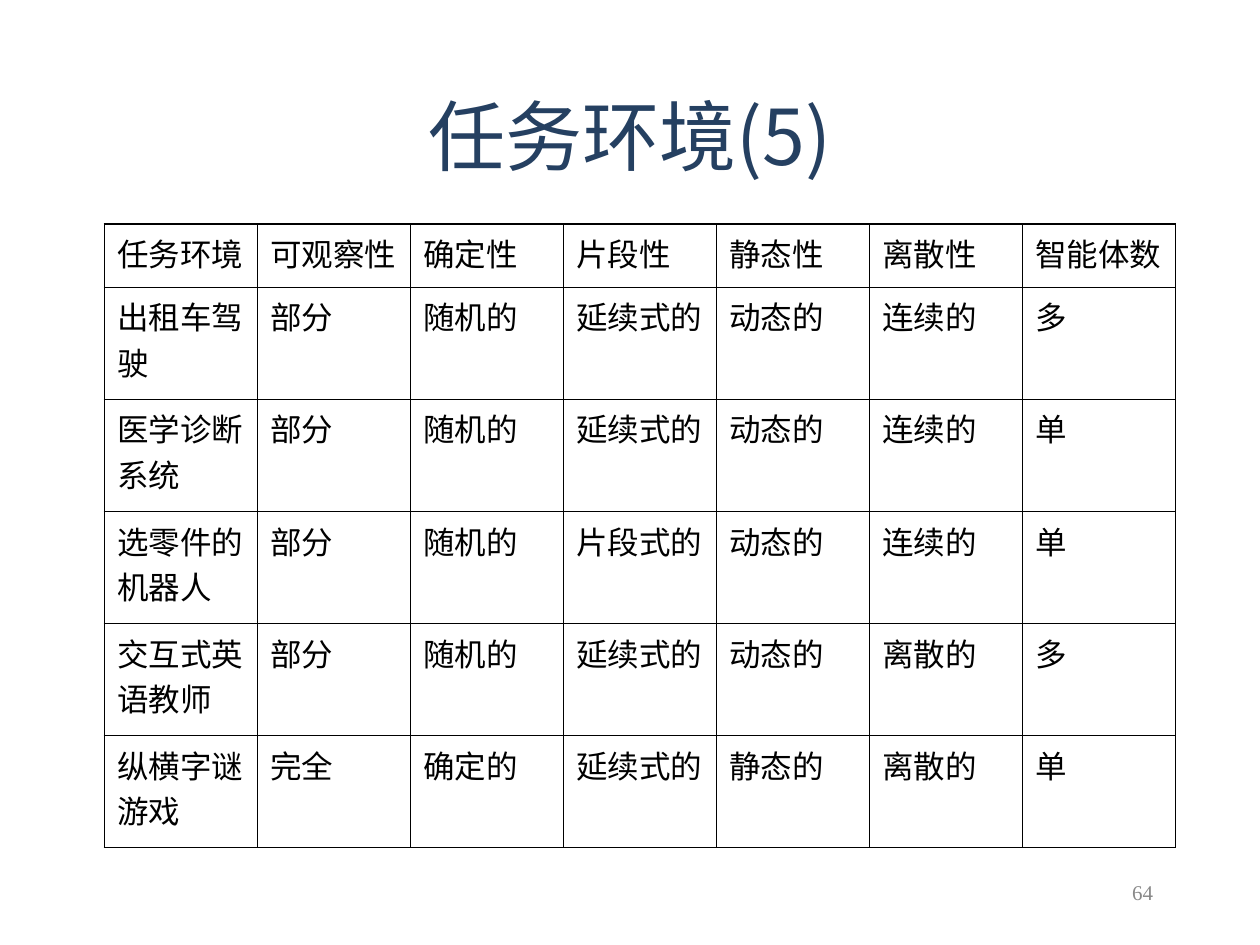
from lxml import etree
from pptx import Presentation, util as u
from pptx.dml.color import RGBColor
from pptx.enum import text as t
from pptx.oxml import ns

NAVY = RGBColor(0x25, 0x40, 0x61)
GREY = RGBColor(0x89, 0x89, 0x89)
BLACK = RGBColor(0, 0, 0)
SANS = "Noto Sans CJK SC"
SERIF = "Times New Roman"
WIDE, HIGH = u.Inches(10), u.Inches(7.5)
THIN, THICK = 0.45, 1.08
HEAD, BODY = u.Inches(0.5), u.Inches(0.89)
INSET = {
    "margin_left": u.Inches(0.1), "margin_right": u.Inches(0.1),
    "margin_top": u.Inches(0.05), "margin_bottom": u.Inches(0.05),
}
TASKS = [
    ["任务环境", "可观察性", "确定性", "片段性", "静态性", "离散性", "智能体数"],
    ["出租车驾驶", "部分", "随机的", "延续式的", "动态的", "连续的", "多"],
    ["医学诊断系统", "部分", "随机的", "延续式的", "动态的", "连续的", "单"],
    ["选零件的机器人", "部分", "随机的", "片段式的", "动态的", "连续的", "单"],
    ["交互式英语教师", "部分", "随机的", "延续式的", "动态的", "离散的", "多"],
    ["纵横字谜游戏", "完全", "确定的", "延续式的", "静态的", "离散的", "单"],
]


def assign(item, values):
    for name, value in values.items():
        setattr(item, name, value)


def area(x, y, w, h):
    return int(x * WIDE), int(y * HIGH), int(w * WIDE), int(h * HIGH)


def write(frame, words, size, face, color, align):
    para = frame.paragraphs[0]
    para.alignment = align
    run = para.add_run()
    run.text = words
    run.font.color.rgb = color
    assign(run.font, {"size": u.Pt(size), "name": face, "bold": False})
    east = etree.SubElement(run.font._element, ns.qn("a:ea"))
    east.set("typeface", face)


def add_title(slide, words):
    title = slide.shapes.title
    place = area(0.075, 0.09, 0.85, 0.106)
    assign(title, dict(zip(("left", "top", "width", "height"), place)))
    frame = title.text_frame
    assign(frame, {"vertical_anchor": t.MSO_ANCHOR.MIDDLE,
                   "auto_size": t.MSO_AUTO_SIZE.NONE, "word_wrap": True})
    write(frame, words, 44, SANS, NAVY, t.PP_ALIGN.CENTER)


def add_page(slide, words):
    frame = slide.shapes.add_textbox(*area(0.717, 0.911, 0.208, 0.067)).text_frame
    assign(frame, {**INSET, "word_wrap": True,
                   "vertical_anchor": t.MSO_ANCHOR.MIDDLE})
    write(frame, words, 12, SERIF, GREY, t.PP_ALIGN.RIGHT)


def add_edge(cell, side, width, index):
    props = cell._tc.get_or_add_tcPr()
    line = etree.Element(ns.qn(f"a:ln{side}"), w=str(int(u.Pt(width))))
    fill = etree.SubElement(line, ns.qn("a:solidFill"))
    etree.SubElement(fill, ns.qn("a:srgbClr"), val=str(BLACK))
    props.insert(index, line)


def add_table(slide, rows):
    count, span = len(rows), len(rows[0])
    x, y, w, _ = area(0.083, 0.237, 0.85, 0)
    high = HEAD + BODY * (count - 1)
    table = slide.shapes.add_table(count, span, x, y, w, high).table
    assign(table, {"first_row": False, "horz_banding": False})
    for r, row in enumerate(rows):
        table.rows[r].height = BODY if r else HEAD
        for c, words in enumerate(row):
            cell = table.cell(r, c)
            assign(cell, INSET)
            cell.fill.background()
            write(cell.text_frame, words, 18, SANS, BLACK, t.PP_ALIGN.LEFT)
            outer = {"L": c == 0, "R": c == span - 1,
                     "T": r == 0, "B": r == count - 1}
            for index, (side, rim) in enumerate(outer.items()):
                add_edge(cell, side, THICK if rim else THIN, index)


def main():
    deck = Presentation()
    assign(deck, {"slide_width": WIDE, "slide_height": HIGH})
    slide = deck.slides.add_slide(deck.slide_layouts[5])
    add_page(slide, "64")
    add_title(slide, "任务环境(5)")
    add_table(slide, TASKS)
    deck.save("out.pptx")


if __name__ == "__main__":
    main()
